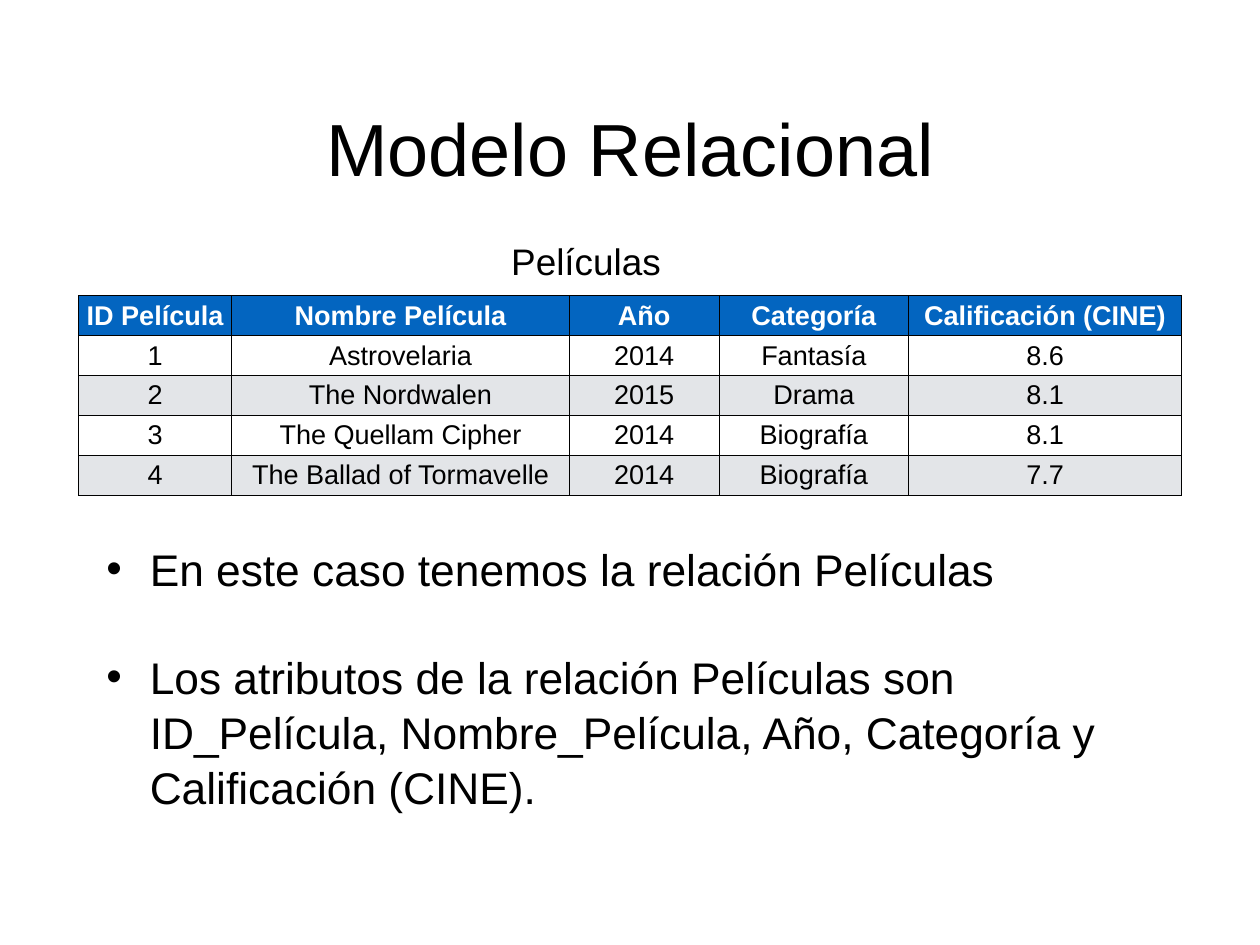
from lxml.etree import SubElement
from pptx import Presentation
from pptx.dml.color import RGBColor
from pptx.enum.text import MSO_ANCHOR as Anchor, MSO_AUTO_SIZE as AutoSize, PP_ALIGN as Align
from pptx.oxml.ns import qn
from pptx.util import Inches, Pt

TITLE = "Modelo Relacional"
CAPTION = "Películas"
HEADER = ("ID Película", "Nombre Película", "Año", "Categoría", "Calificación (CINE)")
MOVIES = [
    ("1", "Astrovelaria", "2014", "Fantasía", "8.6"),
    ("2", "The Nordwalen", "2015", "Drama", "8.1"),
    ("3", "The Quellam Cipher", "2014", "Biografía", "8.1"),
    ("4", "The Ballad of Tormavelle", "2014", "Biografía", "7.7"),
]
POINTS = [
    "En este caso tenemos la relación Películas",
    "Los atributos de la relación Películas son ID_Película, Nombre_Película, "
    "Año, Categoría y Calificación (CINE).",
]
COLORS = {"text": "000000", "header": "0365C0", "header_text": "FFFFFF",
          "odd": "FFFFFF", "even": "E3E5E8", "border": "000000"}
FONT = "Arial"
WIDTH, HEIGHT = 14.22, 10.67
COLUMNS = (1.73, 3.81, 1.69, 2.14, 3.08)
ROW = 0.45
INSET = 0.06
HANG = 0.49
POINT_SIZE, POINT_SPACING, POINT_GAP = 36, 1.04, 43


def write(frame, *lines, size, color="text", bold=False, align=Align.LEFT):
    for number, line in enumerate(lines):
        paragraph = frame.add_paragraph() if number else frame.paragraphs[0]
        paragraph.alignment = align
        run = paragraph.add_run()
        run.text = line
        run.font.name, run.font.size, run.font.bold = FONT, Pt(size), bold
        run.font.color.rgb = RGBColor.from_string(COLORS[color])


def place(shape, left, top, width, height):
    shape.left, shape.top = Inches(left), Inches(top)
    shape.width, shape.height = Inches(width), Inches(height)
    frame = shape.text_frame
    frame.word_wrap, frame.auto_size = True, AutoSize.NONE
    frame.vertical_anchor = Anchor.MIDDLE
    frame.margin_left = frame.margin_right = Inches(INSET)
    frame.margin_top = frame.margin_bottom = Inches(INSET)
    return frame


def add_box(slide, *area):
    return place(slide.shapes.add_textbox(0, 0, 0, 0), *area)


def add_bullet(paragraph):
    properties = paragraph._p.get_or_add_pPr()
    properties.set("marL", str(Inches(HANG)))
    properties.set("indent", str(-Inches(HANG)))
    bullet_color = SubElement(properties, qn("a:buClr"))
    SubElement(bullet_color, qn("a:srgbClr"), val=COLORS["text"])
    SubElement(properties, qn("a:buFont"), typeface=FONT)
    SubElement(properties, qn("a:buChar"), char="•")


def add_borders(cell):
    properties = cell._tc.get_or_add_tcPr()
    for side in ("lnL", "lnR", "lnT", "lnB"):
        line = SubElement(properties, qn(f"a:{side}"), w=str(Pt(0.75)))
        fill = SubElement(line, qn("a:solidFill"))
        SubElement(fill, qn("a:srgbClr"), val=COLORS["border"])


def add_movies(slide, left, top):
    rows = [HEADER, *MOVIES]
    table = slide.shapes.add_table(
        len(rows), len(COLUMNS), Inches(left), Inches(top),
        Inches(sum(COLUMNS)), Inches(ROW * len(rows))).table
    table.horz_banding = False
    for column, width in zip(table.columns, COLUMNS):
        column.width = Inches(width)
    for r, values in enumerate(rows):
        fill = "header" if r == 0 else ("even", "odd")[r % 2]
        for c, value in enumerate(values):
            cell = table.cell(r, c)
            add_borders(cell)
            cell.fill.solid()
            cell.fill.fore_color.rgb = RGBColor.from_string(COLORS[fill])
            cell.vertical_anchor = Anchor.MIDDLE
            cell.margin_left = cell.margin_right = Inches(INSET)
            cell.margin_top = cell.margin_bottom = Inches(0.05)
            write(cell.text_frame, value, size=22, bold=r == 0, align=Align.CENTER,
                  color="text" if r else "header_text")


def main():
    deck = Presentation()
    deck.slide_width, deck.slide_height = Inches(WIDTH), Inches(HEIGHT)
    slide = deck.slides.add_slide(deck.slide_layouts[5])

    title_width = 7.03
    title = place(slide.shapes.title, (WIDTH - title_width) / 2, 1.11, title_width, 1.11)
    write(title, TITLE, size=60, align=Align.CENTER)

    table_width = sum(COLUMNS)
    add_movies(slide, (WIDTH - table_width) / 2, 3.34)

    points = add_box(slide, 1.14, 6.37, table_width, 2.54)
    write(points, *POINTS, size=POINT_SIZE)
    for number, paragraph in enumerate(points.paragraphs):
        paragraph.line_spacing = POINT_SPACING
        paragraph.space_before = Pt(POINT_GAP if number else 0)
        add_bullet(paragraph)

    write(add_box(slide, 5.71, 2.64, 2.8, 0.6), CAPTION, size=30)
    deck.save("out.pptx")


if __name__ == "__main__":
    main()
